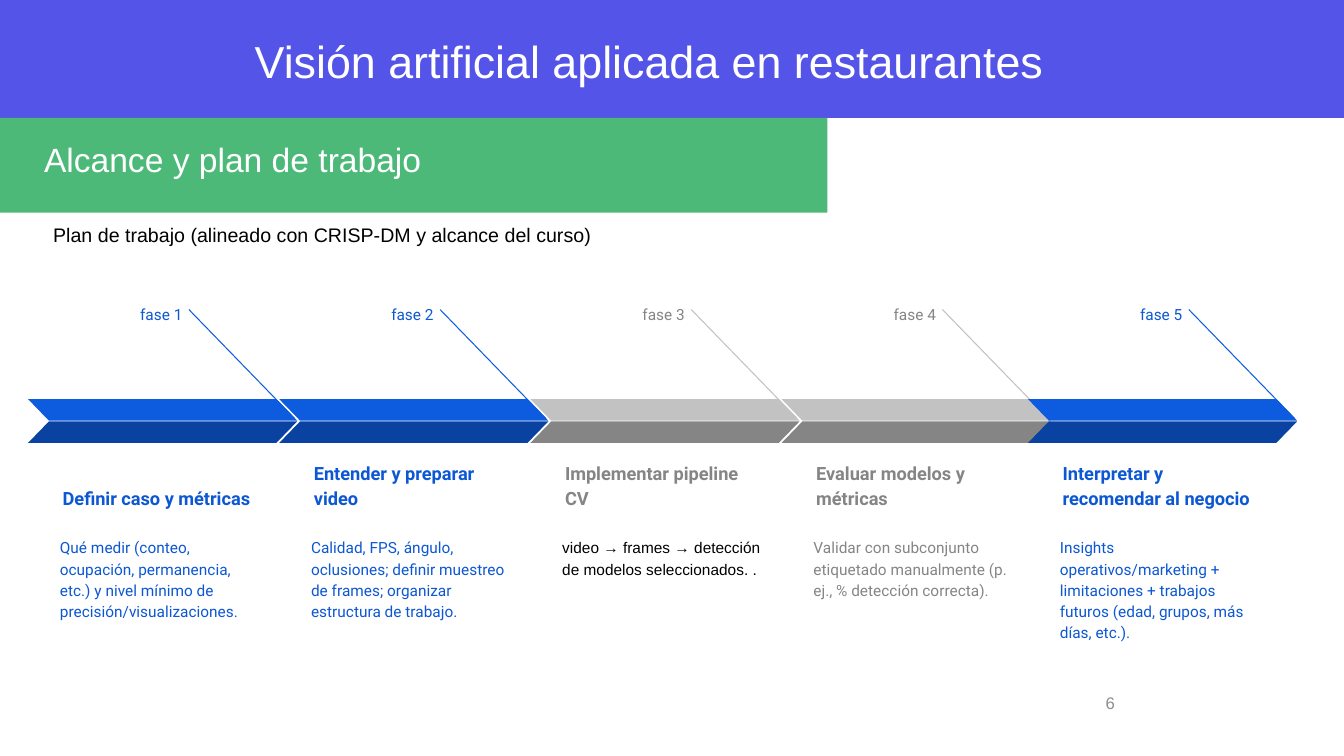
from lxml.etree import SubElement
from pptx import Presentation
from pptx.dml.color import RGBColor as Rgb
from pptx.enum.shapes import MSO_CONNECTOR as Link, MSO_SHAPE as Kind
from pptx.enum.text import MSO_ANCHOR as Anchor, PP_ALIGN as Align
from pptx.oxml.ns import qn
from pptx.util import Cm, Pt

# Colours
WHITE, BLACK = Rgb(0xFF, 0xFF, 0xFF), Rgb(0, 0, 0)
INDIGO, GREEN = Rgb(0x54, 0x54, 0xE9), Rgb(0x4C, 0xB9, 0x78)
BLUE, NAVY, INK = Rgb(0x0D, 0x5C, 0xDF), Rgb(0x09, 0x42, 0xA1), Rgb(0x0C, 0x57, 0xD3)
SILVER, GREY = Rgb(0xC2, 0xC2, 0xC2), Rgb(0x85, 0x85, 0x85)
PALE = Rgb(0x8E, 0x8E, 0x8E)

# Content
TITLE = "Visión artificial aplicada en restaurantes"
TOPIC = "Alcance y plan de trabajo"
INTRO = "Plan de trabajo (alineado con CRISP-DM y alcance del curso)"
NUMBER = "6"

ON = {"top": BLUE, "base": NAVY, "ink": INK}
OFF = {"top": SILVER, "base": GREY, "ink": GREY}
PHASES = [
    ("Definir caso y métricas",
     "Qué medir (conteo, ocupación, permanencia, etc.) y nivel mínimo de "
     "precisión/visualizaciones.", ON, {}),
    ("Entender y preparar video",
     "Calidad, FPS, ángulo, oclusiones; definir muestreo de frames; organizar "
     "estructura de trabajo.", ON, {}),
    ("Implementar pipeline CV",
     "video → frames → detección de modelos seleccionados. .", OFF,
     {"name": "Arial", "color": BLACK}),
    ("Evaluar modelos y métricas",
     "Validar con subconjunto etiquetado manualmente (p. ej., % detección "
     "correcta).", OFF, {}),
    ("Interpretar y recomendar al negocio",
     "Insights operativos/marketing + limitaciones + trabajos futuros (edad, "
     "grupos, más días, etc.).", ON, {}),
]

# Layout in cm
LEFT, PITCH = 0.71, 6.33
NUDGE = -0.12  # the last phase overlaps the one before it
BAR_W, BAR_H = 6.78, 0.54
TOP_Y, BASE_Y = 10.06, 10.62

# Text formats
SMALL = {"name": "Roboto", "size": Pt(11)}
HEAD = {"name": "Roboto", "size": Pt(13), "bold": True}
LOOSE = {"line_spacing": 1.15}
SPACED = {"line_spacing": 1.15, "space_after": Pt(21)}


def put(item, values):
    for key, value in values.items():
        setattr(item, key, value)


def write(home, box, text, font, para=None, pad=(0.25, 0.13), anchor=Anchor.TOP):
    frame = home.add_textbox(*map(Cm, box)).text_frame
    across, down = map(Cm, pad)
    put(frame, {"word_wrap": True, "vertical_anchor": anchor,
                "margin_left": across, "margin_right": across,
                "margin_top": down, "margin_bottom": down})
    line = frame.paragraphs[0]
    line.text = text
    put(line, para or {})
    font = dict(font)
    line.font.color.rgb = font.pop("color")
    put(line.font, font)


def block(home, kind, box, color):
    shape = home.add_shape(kind, *map(Cm, box))
    shape.shadow.inherit = False
    shape.fill.solid()
    shape.fill.fore_color.rgb = color
    shape.line.fill.background()
    return shape


def phase(home, x, label, head, body, tone, extra):
    ink = {"color": tone["ink"]}
    pad = (0.32, 0.32)
    write(home, (x + 1.9, 7.34, 2.31, 0.89), label, SMALL | ink,
          SPACED | {"alignment": Align.RIGHT}, pad)
    write(home, (x + 0.55, 11.5, 5.56, 1.65), head, HEAD | ink, LOOSE, pad,
          Anchor.BOTTOM)
    write(home, (x + 0.48, 13.18, 5.72, 2.72), body, SMALL | ink | extra, SPACED, pad)
    # Pointer line
    ends = map(Cm, (x + 4.05, 7.8, x + 6.71, 10.54))
    line = home.add_connector(Link.STRAIGHT, *ends)
    line.line.color.rgb = tone["top"]
    line.line.width = Pt(0.75)
    SubElement(line._element.spPr, qn("a:effectLst"))
    # Two halves of the arrow bar, the upper one mirrored
    for y, half in ((TOP_Y, "top"), (BASE_Y, "base")):
        bar = block(home, Kind.PARALLELOGRAM, (x, y, BAR_W, BAR_H), tone[half])
        bar.adjustments[0] = 0.97
        if half == "top":
            bar._element.spPr.find(qn("a:xfrm")).set("flipH", "1")


def main():
    deck = Presentation()
    deck.slide_width, deck.slide_height = Cm(33.87), Cm(19.05)
    home = deck.slides.add_slide(deck.slide_layouts[6]).shapes

    # Header bands and texts
    block(home, Kind.RECTANGLE, (-0.13, -0.13, 34.26, 3.1), INDIGO)
    block(home, Kind.RECTANGLE, (-0.13, 2.97, 20.98, 2.39), GREEN)
    plain = {"name": "Arial", "color": WHITE}
    write(home, (0.86, 3.2, 19.58, 1.6), TOPIC, plain | {"size": Pt(24)},
          anchor=Anchor.MIDDLE)
    write(home, (6.17, 0.71, 24.71, 1.63), TITLE, plain | {"size": Pt(32)})
    write(home, (1.09, 5.36, 20.22, 1.12), INTRO,
          plain | {"size": Pt(14), "color": BLACK}, pad=(0.25, 0.25))
    write(home, (20.73, 17.2, 7.62, 1.02), NUMBER,
          plain | {"size": Pt(12), "color": PALE},
          {"alignment": Align.RIGHT}, anchor=Anchor.MIDDLE)

    # Timeline, one group per phase
    for i, (head, body, tone, extra) in enumerate(PHASES):
        x = LEFT + i * PITCH + (NUDGE if i == len(PHASES) - 1 else 0)
        group = home.add_group_shape()
        phase(group.shapes, x, f"fase {i + 1}", head, body, tone, extra)

    deck.save("out.pptx")


if __name__ == "__main__":
    main()
